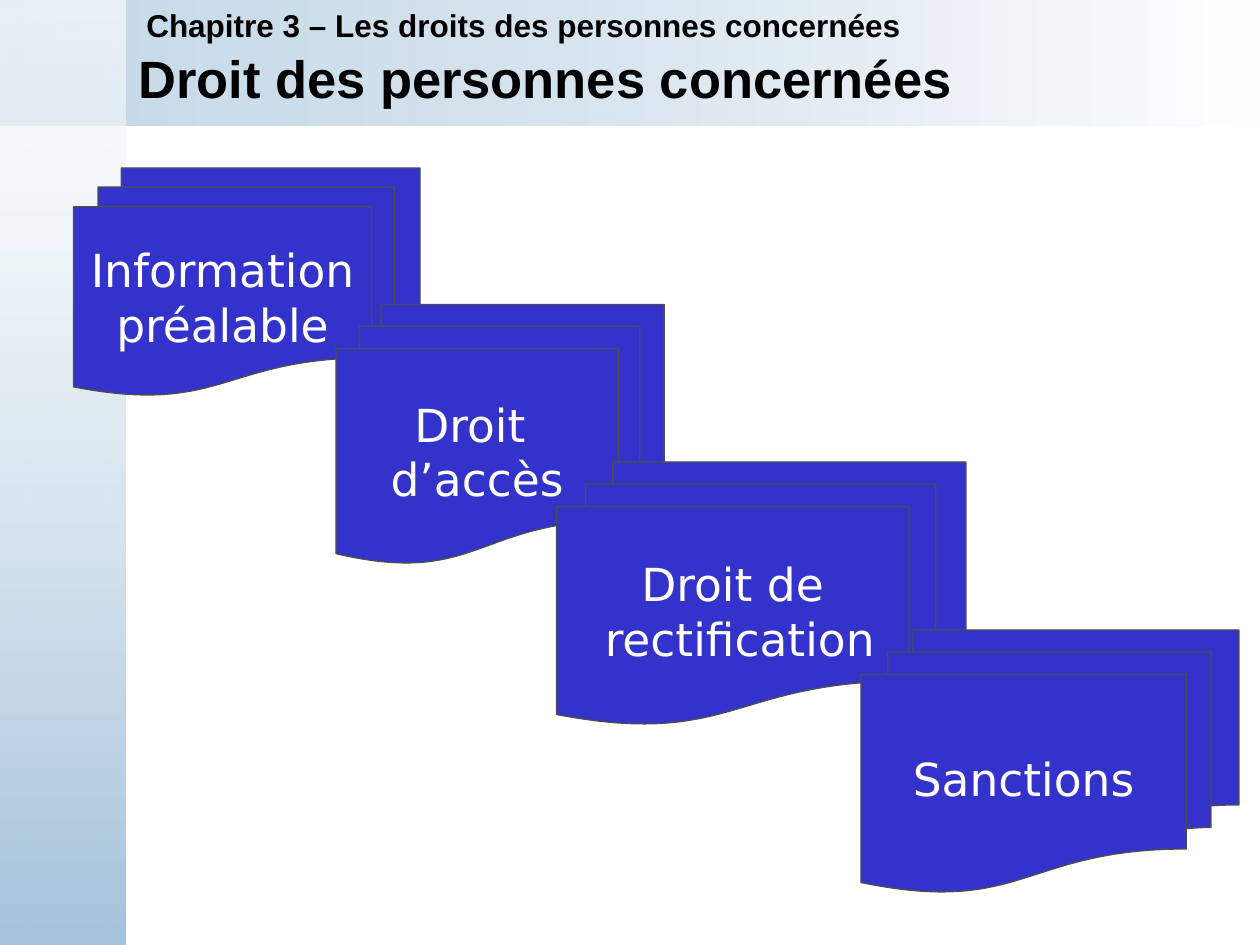
from lxml import etree
from pptx import Presentation
from pptx.dml.color import RGBColor
from pptx.enum import shapes, text
from pptx.oxml import ns
from pptx.util import Pt

COLORS = {"mist": "A5C3DB", "white": "FFFFFF", "card": "3333CC",
          "edge": "4D4D4D", "ink": "000000"}

# left, top, width, height, lines
RIGHTS = [
    (42, 96, 198, 130, ["Information", "préalable"]),
    (192, 174, 187.5, 148, ["Droit ", "d’accès"]),
    (318, 264, 234, 150, ["Droit de", " rectification"]),
    (492, 360, 216, 150, ["Sanctions"]),
]


def color(name):
    return RGBColor.from_string(COLORS[name])


def style(p, size, font, name, bold=False):
    p.font.size = Pt(size)
    p.font.name = font
    p.font.bold = bold
    p.font.color.rgb = color(name)


def add_shape(s, kind, left, top, width, height):
    sp = s.shapes.add_shape(kind, Pt(left), Pt(top), Pt(width), Pt(height))
    sp.shadow.inherit = False
    return sp


def add_band(s, width, height, angle, stops):
    """Add a gradient band; stops are (colour name, opacity in percent)."""
    sp = add_shape(s, shapes.MSO_SHAPE.RECTANGLE, 0, 0, width, height)
    sp.line.fill.background()
    sp.fill.gradient()
    sp.fill.gradient_angle = angle
    for stop, (name, _) in zip(sp.fill.gradient_stops, stops):
        stop.color.rgb = color(name)
    for clr, (_, opacity) in zip(sp._element.spPr.iter(ns.qn("a:srgbClr")), stops):
        etree.SubElement(clr, ns.qn("a:alpha")).set("val", str(opacity * 1000))


def add_heading(s, left, top, width, height, words, size, anchor):
    tf = s.shapes.add_textbox(Pt(left), Pt(top), Pt(width), Pt(height)).text_frame
    tf.word_wrap = True
    tf.vertical_anchor = anchor
    tf.text = words
    style(tf.paragraphs[0], size, "Arial", "ink", bold=True)


def add_right(s, left, top, width, height, lines):
    """Add a stack of documents naming one right."""
    sp = add_shape(s, shapes.MSO_SHAPE.FLOWCHART_MULTIDOCUMENT,
                   left, top, width, height)
    sp.fill.solid()
    sp.fill.fore_color.rgb = color("card")
    sp.line.color.rgb = color("edge")
    sp.line.width = Pt(0.75)
    tf = sp.text_frame
    tf.word_wrap = False
    tf.vertical_anchor = text.MSO_ANCHOR.MIDDLE
    tf.text = "\n".join(lines)
    for p in tf.paragraphs:
        p.alignment = text.PP_ALIGN.CENTER
        style(p, 26, "DejaVu Sans", "white")


def main():
    prs = Presentation()
    prs.slide_width, prs.slide_height = Pt(720), Pt(540)
    s = prs.slides.add_slide(prs.slide_layouts[6])
    add_band(s, 720, 72, 0, [("mist", 62), ("white", 100)])
    add_band(s, 72, 540, 270, [("white", 59), ("mist", 100)])
    add_heading(s, 72, 24, 648, 41, "Droit des personnes concernées", 30,
                text.MSO_ANCHOR.MIDDLE)
    add_heading(s, 76.5, 0, 643.5, 29,
                "Chapitre 3 – Les droits des personnes concernées", 18,
                text.MSO_ANCHOR.TOP)
    for right in RIGHTS:
        add_right(s, *right)
    prs.save("out.pptx")


if __name__ == "__main__":
    main()
